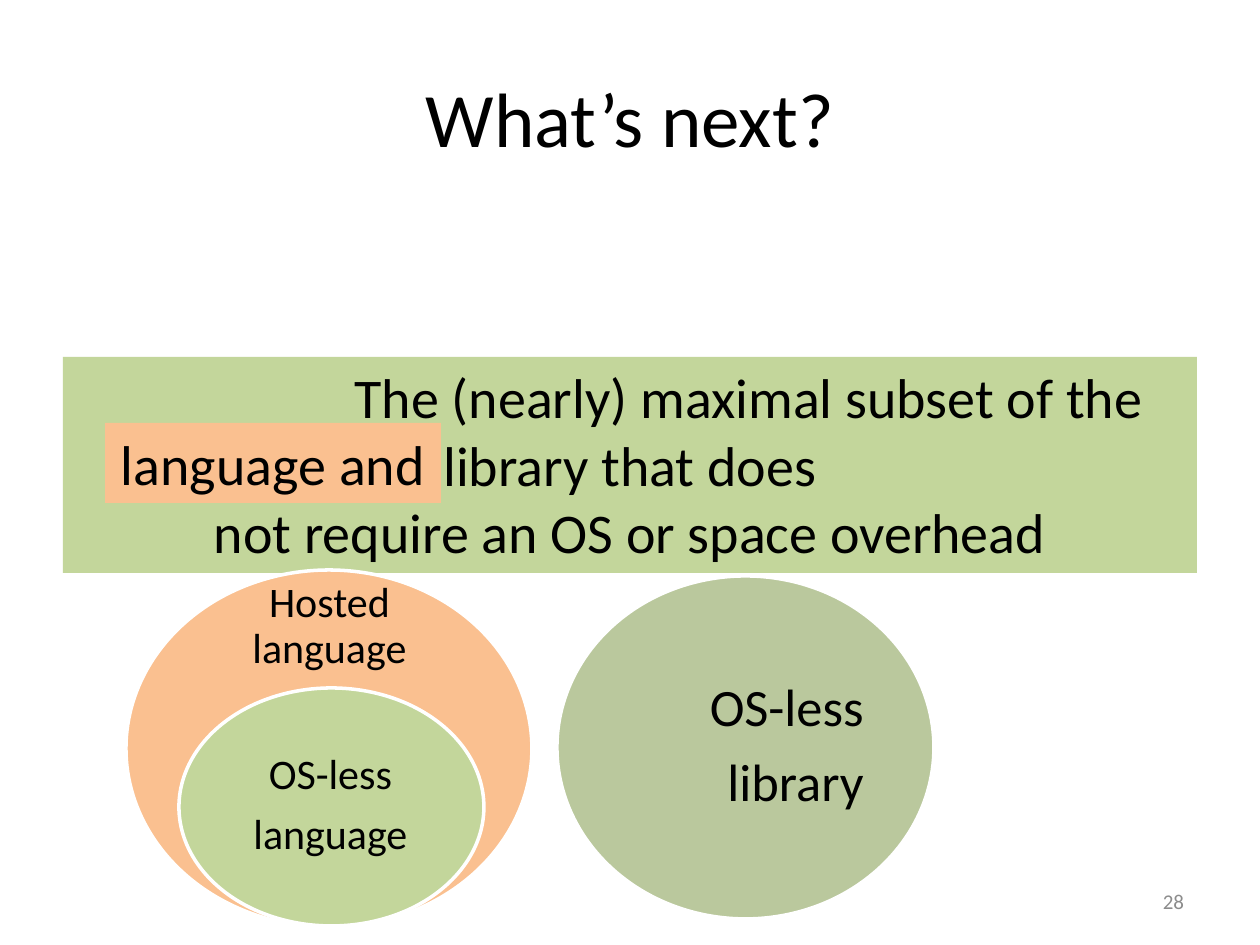
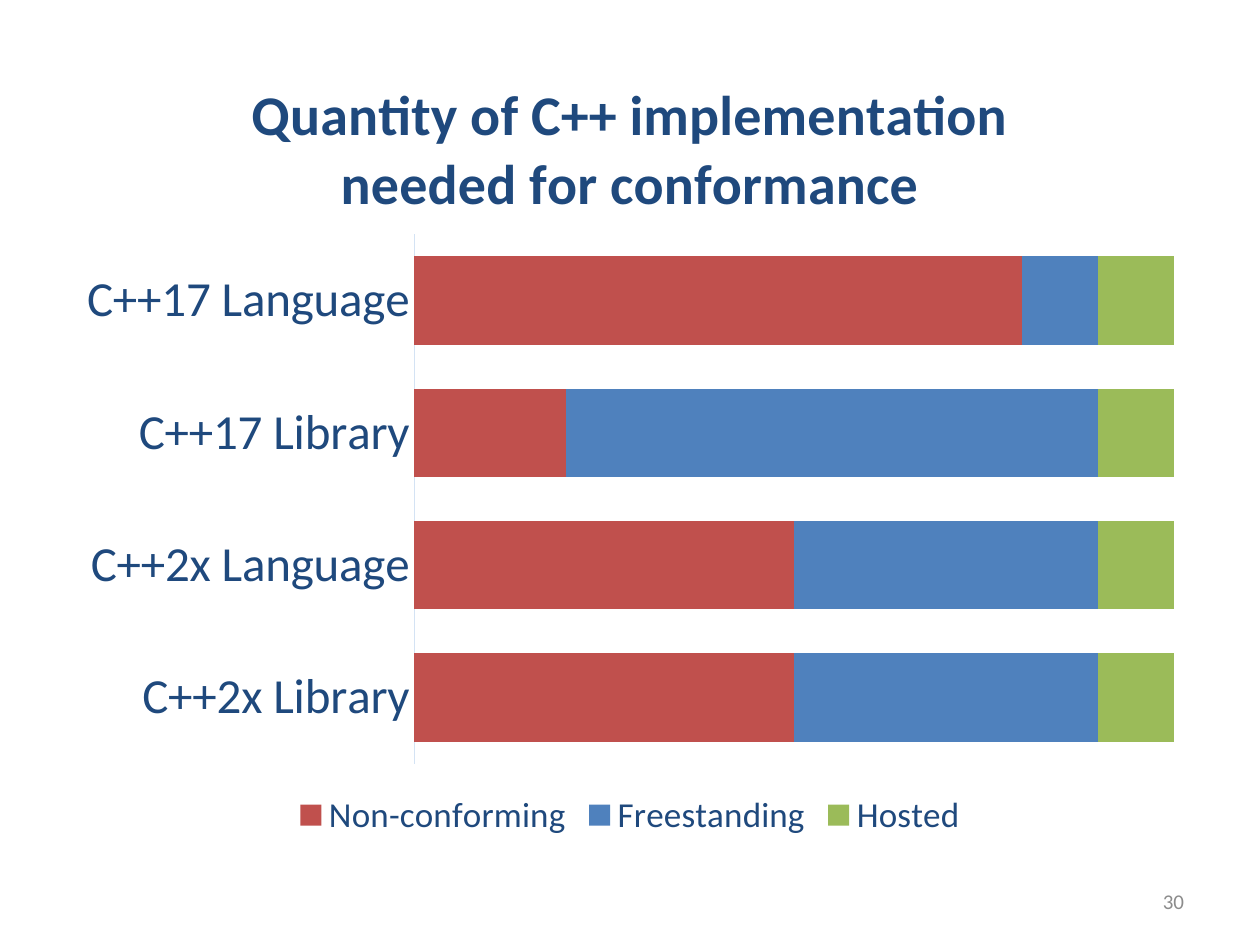
"""Build two slides on OS-less subsets of C++ and the conformance effort."""
from dataclasses import dataclass
from typing import Optional

import pptx
import pptx.chart.data
import pptx.dml.color
import pptx.enum.chart
import pptx.enum.shapes
import pptx.enum.text
import pptx.oxml
import pptx.oxml.ns
import pptx.util

SCALE = 914400 / 126
FONT = "Calibri"
COLORS = {
    "black": "000000", "white": "FFFFFF", "grey": "8C8C8C", "navy": "1F497D",
    "green": "C3D69B", "olive": "77933C", "orange": "FAC090", "axis": "D4E3F4",
    "Non-conforming": "C0504D", "Freestanding": "4F81BD", "Hosted": "9BBB59",
}
RECT = pptx.enum.shapes.MSO_SHAPE.RECTANGLE
OVAL = pptx.enum.shapes.MSO_SHAPE.OVAL
ALIGN = pptx.enum.text.PP_ALIGN
ANCHOR = pptx.enum.text.MSO_ANCHOR
DEFAULT_INSETS = (13, 6)


@dataclass(frozen=True)
class Block:
    box: tuple[int, int, int, int]
    lines: tuple[str, ...] = ()
    size: int = 32
    kind: Optional[pptx.enum.shapes.MSO_SHAPE] = None
    fill: str = "white"
    opacity: int = 100
    align: ALIGN = ALIGN.CENTER
    anchor: ANCHOR = ANCHOR.MIDDLE
    color: str = "black"
    insets: tuple[int, int] = DEFAULT_INSETS
    tight: bool = False
    first_indent: int = 0


def px(n: float) -> pptx.util.Emu:
    return pptx.util.Emu(round(n * SCALE))


def rgb(name: str) -> pptx.dml.color.RGBColor:
    return pptx.dml.color.RGBColor.from_string(COLORS[name])


def set_font(font: pptx.text.text.Font, size: int, color: str, bold: bool = False) -> None:
    font.name, font.size, font.bold = FONT, pptx.util.Pt(size), bold
    font.color.rgb = rgb(color)


def paint(sp: pptx.shapes.autoshape.Shape, b: Block) -> None:
    sp.shadow.inherit = False
    sp.fill.solid()
    sp.fill.fore_color.rgb = rgb(b.fill)
    if b.opacity < 100:
        clr = sp.fill._xPr.find(".//" + pptx.oxml.ns.qn("a:srgbClr"))
        alpha = pptx.oxml.parse_xml(
            f'<a:alpha {pptx.oxml.ns.nsdecls("a")} val="{b.opacity * 1000}"/>')
        clr.append(alpha)
    if b.kind == OVAL:
        sp.line.color.rgb = rgb("white")
        sp.line.width = pptx.util.Pt(2)
    else:
        sp.line.fill.background()


def add_block(s: pptx.slide.Slide, b: Block) -> None:
    box = [px(n) for n in b.box]
    if b.kind is None:
        sp = s.shapes.add_textbox(*box)
    else:
        sp = s.shapes.add_shape(b.kind, *box)
        paint(sp, b)
    tf = sp.text_frame
    tf.word_wrap = True
    tf.vertical_anchor = b.anchor
    tf.margin_left = tf.margin_right = px(b.insets[0])
    tf.margin_top = tf.margin_bottom = px(b.insets[1])
    for i, line in enumerate(b.lines):
        p = tf.paragraphs[0] if i == 0 else tf.add_paragraph()
        p.text = line
        p.alignment = b.align
        set_font(p.font, b.size, b.color)
        if b.tight:
            p.line_spacing = 0.9
            p.space_after = pptx.util.Pt(b.size * 0.35)
        if i == 0 and b.first_indent:
            p._p.get_or_add_pPr().set("indent", str(px(b.first_indent)))


def add_slide(prs: pptx.presentation.Presentation, number: int) -> pptx.slide.Slide:
    s = prs.slides.add_slide(prs.slide_layouts[6])
    add_block(s, Block((903, 876, 294, 50), (str(number),), 12,
                       align=ALIGN.RIGHT, color="grey"))
    return s


def add_conformance_chart(s: pptx.slide.Slide) -> None:
    data = pptx.chart.data.CategoryChartData()
    data.categories = ["C++2x Library", "C++2x Language", "C++17 Library", "C++17 Language"]
    data.add_series("Non-conforming", (50, 50, 20, 80))
    data.add_series("Freestanding", (40, 40, 70, 10))
    data.add_series("Hosted", (10, 10, 10, 10))
    chart = s.shapes.add_chart(
        pptx.enum.chart.XL_CHART_TYPE.BAR_STACKED_100,
        px(63), px(42), px(1134), px(802), data).chart
    set_font(chart.font, 10, "black")

    chart.has_title = True
    p = chart.chart_title.text_frame.paragraphs[0]
    p.text = "Quantity of C++ implementation needed for conformance"
    set_font(p.font, 32, "navy", bold=True)
    chart.chart_title.include_in_layout = False

    chart.has_legend = True
    chart.legend.position = pptx.enum.chart.XL_LEGEND_POSITION.BOTTOM
    chart.legend.include_in_layout = False
    set_font(chart.legend.font, 20, "navy")

    chart.value_axis.visible = False
    chart.value_axis.has_major_gridlines = False
    axis = chart.category_axis
    axis.major_tick_mark = pptx.enum.chart.XL_TICK_MARK.NONE
    axis.format.line.color.rgb = rgb("axis")
    axis.format.line.width = pptx.util.Pt(0.75)
    set_font(axis.tick_labels.font, 28, "navy")

    plot = chart.plots[0]
    plot.gap_width, plot.overlap, plot.vary_by_categories = 50, 100, False
    for series in plot.series:
        series.format.fill.solid()
        series.format.fill.fore_color.rgb = rgb(series.name)

    area = chart._chartSpace.chart.plotArea
    for old in area.findall(pptx.oxml.ns.qn("c:layout")):
        area.remove(old)
    places = {"x": 0.31, "y": 0.24, "w": 0.67, "h": 0.66}
    values = "".join(f'<c:{k} val="{v}"/>' for k, v in places.items())
    area.insert(0, pptx.oxml.parse_xml(
        f'<c:layout {pptx.oxml.ns.nsdecls("c")}><c:manualLayout>'
        '<c:layoutTarget val="inner"/><c:xMode val="edge"/><c:yMode val="edge"/>'
        f'{values}</c:manualLayout></c:layout>'))


NEXT_BLOCKS = (
    Block((63, 357, 1134, 216),
          ("The (nearly) maximal subset of the library that does",
           "not require an OS or space overhead"),
          kind=RECT, fill="green", anchor=ANCHOR.TOP, first_indent=238),
    Block((63, 38, 1134, 158), ("What’s next?",), 44),
    Block((105, 423, 336, 80), ("language and",), kind=RECT, fill="orange", anchor=ANCHOR.TOP),
    Block((557, 576, 377, 343), ("OS-less", "library"), 30, OVAL, "olive", 50,
          ALIGN.RIGHT, insets=(15, 15), tight=True),
    Block((126, 570, 406, 357), kind=OVAL, fill="orange"),
    Block((223, 597, 213, 60), ("Hosted language",), 24, insets=(24, 24), tight=True),
    Block((179, 688, 305, 238), kind=OVAL, fill="green"),
    Block((223, 747, 215, 118), ("OS-less", "language"), 24, insets=(24, 24), tight=True),
)


def main() -> None:
    prs = pptx.Presentation()
    prs.slide_width, prs.slide_height = px(1260), px(945)
    s = add_slide(prs, 28)
    for block in NEXT_BLOCKS:
        add_block(s, block)
    add_conformance_chart(add_slide(prs, 30))
    prs.save("out.pptx")


main()
